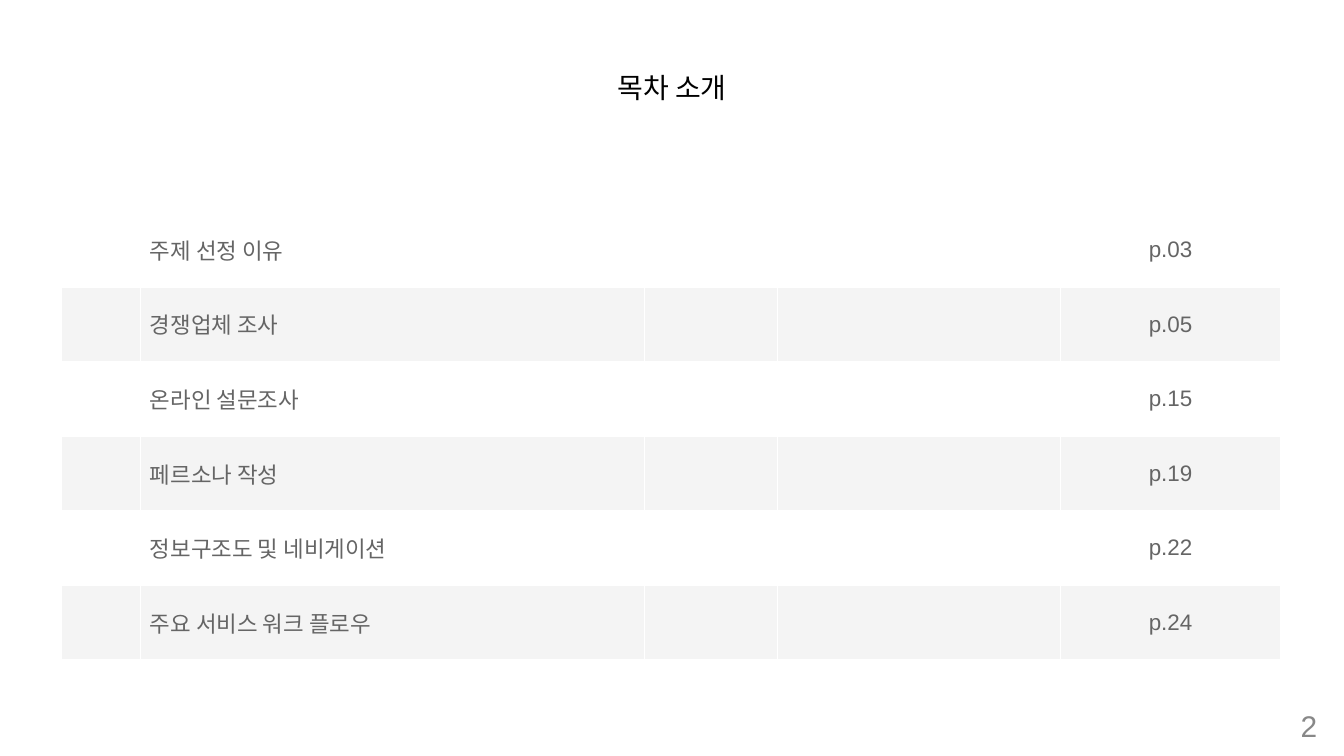
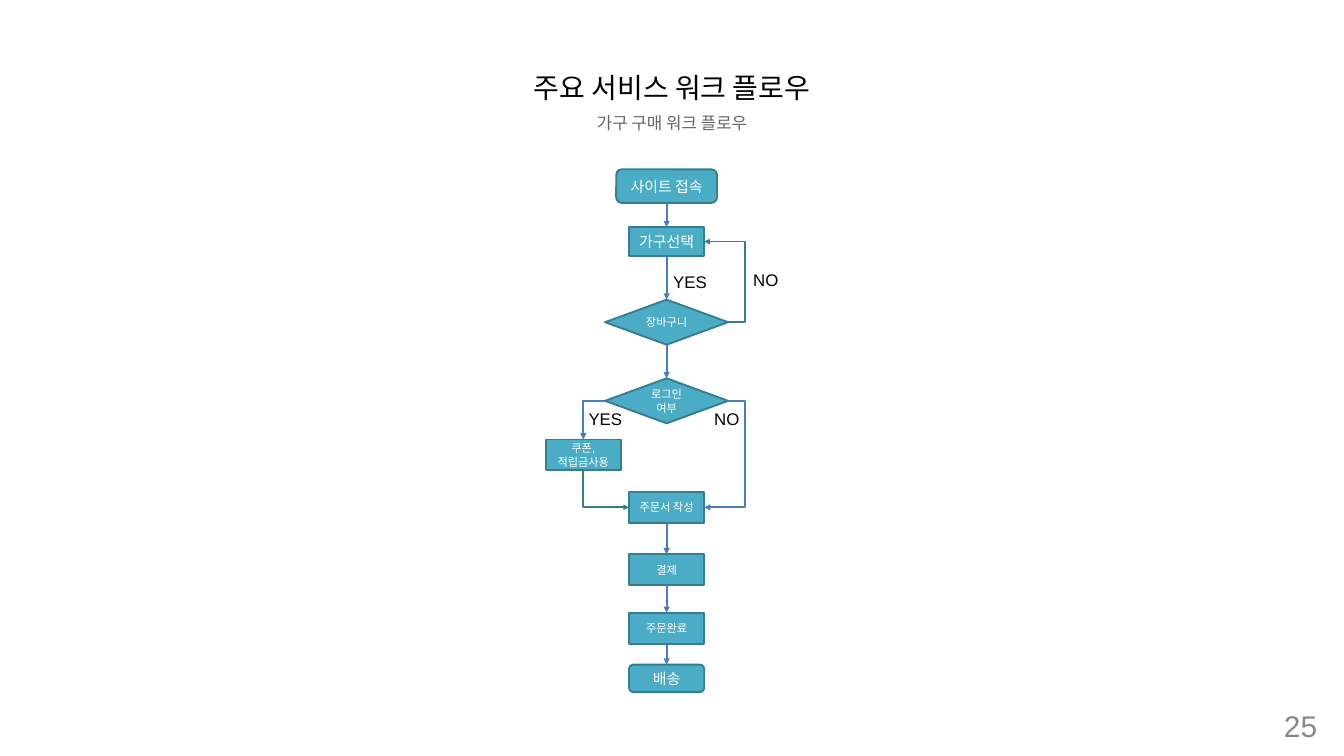
from typing import NamedTuple

import pptx
import pptx.dml.color
import pptx.enum.shapes
import pptx.enum.text
import pptx.oxml
import pptx.oxml.ns
import pptx.presentation
import pptx.shapes.autoshape
import pptx.shapes.connector
import pptx.slide
import pptx.table
import pptx.text.text
import pptx.util
from pptx.dml.color import RGBColor
from pptx.enum.shapes import MSO_CONNECTOR, MSO_SHAPE
from pptx.enum.text import MSO_ANCHOR, MSO_AUTO_SIZE, PP_ALIGN
from pptx.util import Inches

# Shared look
FONT = "Arial"
BLACK = RGBColor(0x00, 0x00, 0x00)
WHITE = RGBColor(0xFF, 0xFF, 0xFF)
GRAY = RGBColor(0x65, 0x65, 0x65)
PAGE_GRAY = RGBColor(0x88, 0x88, 0x88)
BAND_GRAY = RGBColor(0xF4, 0xF4, 0xF4)
TEAL = RGBColor(0x4B, 0xAC, 0xC6)
DARK_TEAL = RGBColor(0x36, 0x7D, 0x90)
BLUE = RGBColor(0x4A, 0x7D, 0xBA)

TOP, BOTTOM = 0, 2
SPINE_X = 9.92
COUPON_X = 8.68
BYPASS_ADJUST = -70600


class Entry(NamedTuple):
    title: str
    page_label: str


class Step(NamedTuple):
    text: str
    top: float
    width: float
    height: float
    kind: MSO_SHAPE = MSO_SHAPE.RECTANGLE
    size: int = 12
    center: float = SPINE_X

    @property
    def left(self) -> float:
        return self.center - self.width / 2

    @property
    def right(self) -> float:
        return self.center + self.width / 2

    @property
    def middle(self) -> float:
        return self.top + self.height / 2

    @property
    def bottom(self) -> float:
        return self.top + self.height


class Label(NamedTuple):
    text: str
    left: float
    top: float
    width: float


ENTRIES = [
    Entry("주제 선정 이유", "p.03"),
    Entry("경쟁업체 조사", "p.05"),
    Entry("온라인 설문조사", "p.15"),
    Entry("페르소나 작성", "p.19"),
    Entry("정보구조도 및 네비게이션", "p.22"),
    Entry("주요 서비스 워크 플로우", "p.24"),
]
COLUMN_WIDTHS = [1.17, 7.5, 1.98, 4.21, 3.28]
ROW_HEIGHT = 1.11

VISIT = Step("사이트 접속", 2.52, 1.5, 0.5, MSO_SHAPE.ROUNDED_RECTANGLE, 16)
CHOOSE = Step("가구선택", 3.38, 1.12, 0.43, size=16)
CART = Step("장바구니", 4.46, 1.83, 0.67, MSO_SHAPE.DIAMOND)
LOGIN = Step("로그인\n여부", 5.63, 1.83, 0.67, MSO_SHAPE.DIAMOND)
COUPON = Step("쿠폰,적립금사용", 6.54, 1.12, 0.46, center=COUPON_X)
ORDER = Step("주문서 작성", 7.32, 1.12, 0.46)
PAY = Step("결제", 8.25, 1.12, 0.46)
DONE = Step("주문완료", 9.12, 1.12, 0.46)
DELIVER = Step("배송", 9.89, 1.12, 0.41, MSO_SHAPE.ROUNDED_RECTANGLE, 16)

STRAIGHT_RUNS = [[VISIT, CHOOSE, CART, LOGIN], [ORDER, PAY, DONE, DELIVER]]
LABELS = [
    Label("YES", 9.92, 4, 0.75),
    Label("NO", 11.11, 3.97, 0.76),
    Label("YES", 8.66, 6.04, 0.9),
    Label("NO", 10.53, 6.03, 0.82),
]


def write_text(frame: pptx.text.text.TextFrame, text: str, *, size: int,
               color: RGBColor, align: PP_ALIGN = PP_ALIGN.LEFT) -> None:
    """Fill a frame, one paragraph for each line of text."""
    for index, line in enumerate(text.split("\n")):
        para = frame.paragraphs[0] if index == 0 else frame.add_paragraph()
        para.alignment = align
        span = para.add_run()
        span.text = line
        span.font.name = FONT
        span.font.size = pptx.util.Pt(size)
        span.font.color.rgb = color


def add_text(page: pptx.slide.Slide, text: str, left: float, top: float,
             width: float, height: float = 0.4, *, size: int = 18,
             color: RGBColor = BLACK, align: PP_ALIGN = PP_ALIGN.LEFT,
             anchor: MSO_ANCHOR = MSO_ANCHOR.TOP,
             fit: MSO_AUTO_SIZE = MSO_AUTO_SIZE.SHAPE_TO_FIT_TEXT) -> None:
    box = page.shapes.add_textbox(Inches(left), Inches(top), Inches(width), Inches(height))
    frame = box.text_frame
    frame.word_wrap = True
    frame.auto_size = fit
    frame.vertical_anchor = anchor
    write_text(frame, text, size=size, color=color, align=align)


def add_page(deck: pptx.presentation.Presentation, title: str,
             number: int) -> pptx.slide.Slide:
    """Add a blank page with the shared title and page number."""
    page = deck.slides.add_slide(deck.slide_layouts[6])
    add_text(page, title, 4.94, 1, 10.12, 0.61, size=30, align=PP_ALIGN.CENTER)
    add_text(page, str(number), 17.37, 10.6, 2.33, size=32, color=PAGE_GRAY,
             align=PP_ALIGN.RIGHT, anchor=MSO_ANCHOR.MIDDLE, fit=MSO_AUTO_SIZE.NONE)
    return page


def set_borders(cell: pptx.table._Cell, bottom_width: float) -> None:
    properties = cell._tc.get_or_add_tcPr()
    for side in "LRTB":
        width = pptx.util.Pt(bottom_width if side == "B" else 1)
        properties.append(pptx.oxml.parse_xml(
            f'<a:ln{side} {pptx.oxml.ns.nsdecls("a")} w="{width}"><a:solidFill>'
            f'<a:srgbClr val="{WHITE}"/></a:solidFill></a:ln{side}>'))


def add_contents_table(page: pptx.slide.Slide) -> None:
    frame = page.shapes.add_table(
        len(ENTRIES), len(COLUMN_WIDTHS), Inches(0.92), Inches(3.16),
        Inches(sum(COLUMN_WIDTHS)), Inches(ROW_HEIGHT * len(ENTRIES)))
    table = frame.table
    table.first_row = False
    table.horz_banding = False
    for column, width in zip(table.columns, COLUMN_WIDTHS):
        column.width = Inches(width)
    for index, (row, entry) in enumerate(zip(table.rows, ENTRIES)):
        row.height = Inches(ROW_HEIGHT)
        for cell in row.cells:
            set_borders(cell, 3 if index == 0 else 1)
            cell.fill.solid()
            cell.fill.fore_color.rgb = BAND_GRAY if index % 2 else WHITE
            cell.vertical_anchor = MSO_ANCHOR.MIDDLE
            cell.margin_left = cell.margin_right = Inches(0.14)
            cell.margin_top = cell.margin_bottom = Inches(0.07)
        write_text(row.cells[1].text_frame, entry.title, size=24, color=GRAY)
        write_text(row.cells[4].text_frame, entry.page_label, size=24, color=GRAY,
                   align=PP_ALIGN.CENTER)


def add_step(page: pptx.slide.Slide, step: Step) -> pptx.shapes.autoshape.Shape:
    shape = page.shapes.add_shape(step.kind, Inches(step.left), Inches(step.top),
                                  Inches(step.width), Inches(step.height))
    shape.shadow.inherit = False
    shape.fill.solid()
    shape.fill.fore_color.rgb = TEAL
    shape.line.color.rgb = DARK_TEAL
    shape.line.width = pptx.util.Pt(2)
    frame = shape.text_frame
    frame.word_wrap = True
    frame.vertical_anchor = MSO_ANCHOR.MIDDLE
    write_text(frame, step.text, size=step.size, color=WHITE, align=PP_ALIGN.CENTER)
    return shape


def add_arrow(page: pptx.slide.Slide, start: tuple[float, float],
              end: tuple[float, float], *, color: RGBColor = BLUE,
              width: float = 2.25, kind: MSO_CONNECTOR = MSO_CONNECTOR.STRAIGHT,
              ) -> pptx.shapes.connector.Connector:
    arrow = page.shapes.add_connector(
        kind, *(Inches(value) for value in (*start, *end)))
    arrow.line.color.rgb = color
    arrow.line.width = pptx.util.Pt(width)
    namespace = pptx.oxml.ns.nsdecls("a")
    arrow.line._get_or_add_ln().append(
        pptx.oxml.parse_xml(f'<a:tailEnd {namespace} type="triangle"/>'))
    arrow._element.spPr.append(pptx.oxml.parse_xml(f"<a:effectLst {namespace}/>"))
    return arrow


def add_bypass(page: pptx.slide.Slide, source: Step, target: Step, **style) -> None:
    """Lead from the right of one step around to the right of another."""
    arrow = add_arrow(page, (source.right, source.middle), (target.right, target.middle),
                      kind=MSO_CONNECTOR.ELBOW, **style)
    guides = arrow._element.spPr.prstGeom.get_or_add_avLst()
    guides.append(pptx.oxml.parse_xml(
        f'<a:gd {pptx.oxml.ns.nsdecls("a")} name="adj1" fmla="val {BYPASS_ADJUST}"/>'))


def add_corner(page: pptx.slide.Slide, start: tuple[float, float],
               end: tuple[float, float], *, down_first: bool = False, **style) -> None:
    """Draw an arrow with one right-angled bend."""
    arrow = add_arrow(page, start, end, kind=MSO_CONNECTOR.ELBOW, **style)
    arrow._element.spPr.prstGeom.set("prst", "bentConnector2")
    if down_first:
        # A quarter turn swaps the sides of the frame around its centre
        shift = (arrow.width - arrow.height) // 2
        arrow.left, arrow.top = arrow.left + shift, arrow.top - shift
        arrow.width, arrow.height = arrow.height, arrow.width
        transform = arrow._element.spPr.xfrm
        transform.set("rot", str(270 * 60000))
        transform.set("flipH", "1")


def build_contents(deck: pptx.presentation.Presentation) -> None:
    page = add_page(deck, "목차 소개", 2)
    add_contents_table(page)


def build_workflow(deck: pptx.presentation.Presentation) -> None:
    page = add_page(deck, "주요 서비스 워크 플로우", 25)
    add_text(page, "가구 구매 워크 플로우", 4.94, 1.63, 10.12, color=GRAY,
             align=PP_ALIGN.CENTER)
    add_step(page, COUPON)

    # Steps down the middle, with straight arrows between them
    for run in STRAIGHT_RUNS:
        shapes = [add_step(page, step) for step in run]
        for index in range(len(run) - 1):
            source, target = run[index], run[index + 1]
            arrow = add_arrow(page, (SPINE_X, source.bottom), (SPINE_X, target.top))
            arrow.begin_connect(shapes[index], BOTTOM)
            arrow.end_connect(shapes[index + 1], TOP)

    # Branches
    add_bypass(page, CART, CHOOSE, color=DARK_TEAL, width=2)
    add_bypass(page, LOGIN, ORDER)
    add_corner(page, (LOGIN.left, LOGIN.middle), (COUPON_X, COUPON.top))
    add_corner(page, (COUPON_X, COUPON.bottom), (ORDER.left, ORDER.middle),
               down_first=True, color=DARK_TEAL, width=2)
    for label in LABELS:
        add_text(page, *label)


def main() -> None:
    deck = pptx.Presentation()
    deck.slide_width = Inches(20)
    deck.slide_height = Inches(11.25)
    build_contents(deck)
    build_workflow(deck)
    deck.save("out.pptx")


if __name__ == "__main__":
    main()
